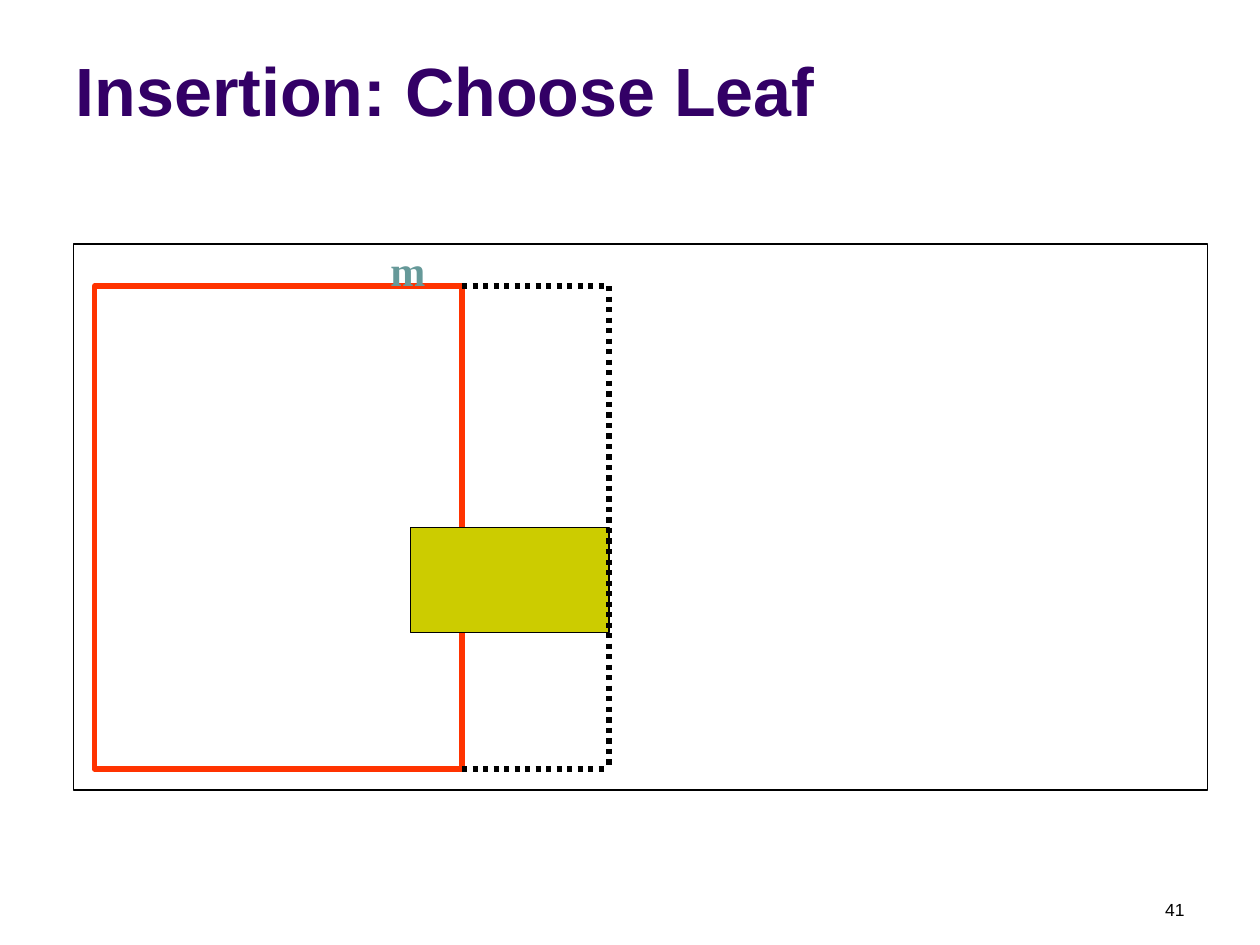
"""Build the slide that shows which leaf is enlarged on insertion."""
from lxml.etree import SubElement
from pptx import Presentation
from pptx.dml.color import RGBColor
from pptx.enum.dml import MSO_LINE
from pptx.enum.shapes import MSO_CONNECTOR, MSO_SHAPE
from pptx.enum.text import MSO_ANCHOR, MSO_AUTO_SIZE, PP_ALIGN
from pptx.oxml.ns import qn
from pptx.util import Pt

COLORS = {
    "title": "330066",
    "label": "669999",
    "leaf": "FF3300",
    "entry": "CCCC00",
    "black": "000000",
}


def write_text(shape, text, size, color, font="Arial", bold=False,
               align=PP_ALIGN.LEFT, anchor=MSO_ANCHOR.TOP):
    frame = shape.text_frame
    frame.word_wrap = True
    frame.auto_size = MSO_AUTO_SIZE.NONE
    frame.vertical_anchor = anchor
    paragraph = frame.paragraphs[0]
    paragraph.alignment = align
    run = paragraph.add_run()
    run.text = text
    run.font.name = font
    run.font.size = Pt(size)
    run.font.bold = bold
    run.font.color.rgb = RGBColor.from_string(COLORS[color])


def add_rectangle(shapes, left, top, width, height, line, weight, fill=None):
    shape = shapes.add_shape(MSO_SHAPE.RECTANGLE, Pt(left), Pt(top), Pt(width), Pt(height))
    shape.shadow.inherit = False
    shape.line.color.rgb = RGBColor.from_string(COLORS[line])
    shape.line.width = Pt(weight)
    if fill:
        shape.fill.solid()
        shape.fill.fore_color.rgb = RGBColor.from_string(COLORS[fill])
    else:
        shape.fill.background()


presentation = Presentation()
presentation.slide_width, presentation.slide_height = Pt(720), Pt(540)
slide = presentation.slides.add_slide(presentation.slide_layouts[5])
shapes = slide.shapes

title = shapes.title
title.left, title.top, title.width, title.height = Pt(36), Pt(9), Pt(648), Pt(69)
write_text(title, "Insertion: Choose Leaf", 39, "title", bold=True, anchor=MSO_ANCHOR.BOTTOM)

leaf_left, leaf_top, leaf_right, leaf_bottom = 54, 163.5, 264, 439.5
enlarged_right = 348

add_rectangle(shapes, 42, 139.5, 648, 312, "black", 0.75)
add_rectangle(shapes, leaf_left, leaf_top, leaf_right - leaf_left, leaf_bottom - leaf_top, "leaf", 3)

label = shapes.add_textbox(Pt(216), Pt(136), Pt(18.75), Pt(36))
write_text(label, "m", 24, "label", font="Times New Roman", bold=True)

add_rectangle(shapes, 234.5, 301.5, enlarged_right - 234.5, 60, "black", 0.75, fill="entry")

enlargement = shapes.add_group_shape()
for x1, y1, x2, y2 in [
    (leaf_right, leaf_top, enlarged_right, leaf_top),
    (leaf_right, leaf_bottom, enlarged_right, leaf_bottom),
    (enlarged_right, leaf_top, enlarged_right, leaf_bottom),
]:
    edge = enlargement.shapes.add_connector(MSO_CONNECTOR.STRAIGHT, Pt(x1), Pt(y1), Pt(x2), Pt(y2))
    edge.line.color.rgb = RGBColor.from_string(COLORS["black"])
    edge.line.width = Pt(3)
    edge.line.dash_style = MSO_LINE.ROUND_DOT
    SubElement(edge._element.spPr, qn("a:effectLst"))

page_number = shapes.add_textbox(Pt(516), Pt(510), Pt(168), Pt(18))
write_text(page_number, "41", 10, "black", align=PP_ALIGN.RIGHT)

presentation.save("out.pptx")
